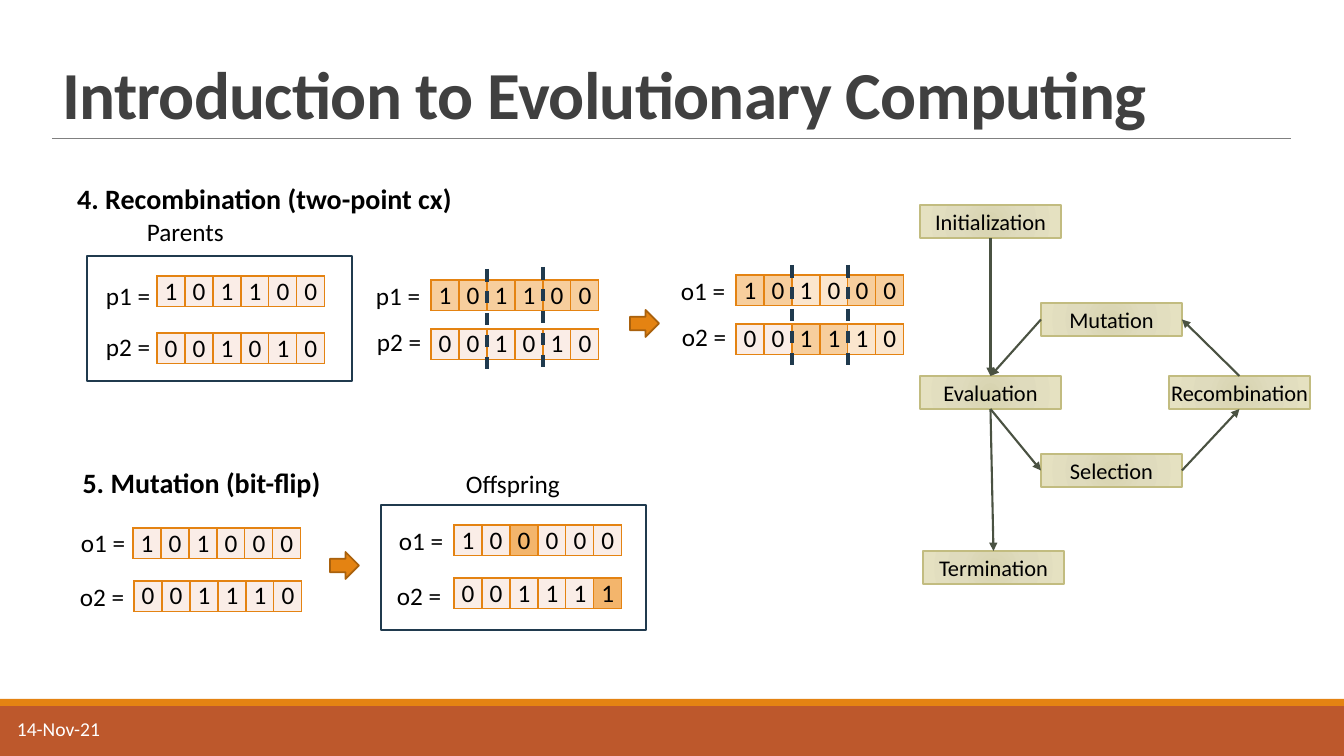
import pptx
import pptx.util
import pptx.dml.color
import pptx.enum.dml
import pptx.enum.shapes
import pptx.enum.text
import pptx.oxml
import pptx.oxml.ns

EMU_PER_PX = 914400 / 100.8
CELL_WIDTH, CELL_HEIGHT = 28, 30
FLOW_WIDTH, FLOW_HEIGHT = 141, 33
BIT_FILLS = {"p": "FAEDE7", "l": "FBE6CE", "m": "F7CE9D", "h": "F3B56C"}
SHAPES = pptx.enum.shapes.MSO_SHAPE
ALIGN = pptx.enum.text.PP_ALIGN
NAMESPACE = pptx.oxml.ns.nsdecls("a")


def px(*lengths):
    return [pptx.util.Emu(round(length * EMU_PER_PX)) for length in lengths]


def color(value):
    return pptx.dml.color.RGBColor.from_string(value)


def format_text(text_frame, size, value="000000", bold=False, align=ALIGN.LEFT):
    for paragraph in text_frame.paragraphs:
        paragraph.alignment = align
        for run in paragraph.runs:
            run.font.name = "Calibri"
            run.font.size = pptx.util.Pt(size)
            run.font.bold = bold
            run.font.color.rgb = color(value)


def add_text(slide, box, text, size, wrap=False, **style):
    shape = slide.shapes.add_textbox(*px(*box))
    shape.text_frame.text = text
    shape.text_frame.word_wrap = wrap
    format_text(shape.text_frame, size, **style)


def add_block(slide, kind, box, fill=None, line=None, width=1.25):
    shape = slide.shapes.add_shape(kind, *px(*box))
    shape.shadow.inherit = False
    if fill:
        shape.fill.solid()
        shape.fill.fore_color.rgb = color(fill)
    else:
        shape.fill.background()
    if line:
        shape.line.color.rgb = color(line)
        shape.line.width = pptx.util.Pt(width)
    else:
        shape.line.fill.background()
    return shape


def add_line(slide, ends, value, width):
    connector = slide.shapes.add_connector(
        pptx.enum.shapes.MSO_CONNECTOR.STRAIGHT, *px(*ends))
    connector.line.color.rgb = color(value)
    connector.line.width = pptx.util.Pt(width)
    connector._element.spPr.append(
        pptx.oxml.parse_xml(f"<a:effectLst {NAMESPACE}/>"))
    return connector


def add_title(slide, box):
    title = slide.shapes.title
    title.left, title.top, title.width, title.height = px(*box)
    frame = title.text_frame
    frame.text = "Introduction to Evolutionary Computing"
    frame.auto_size = pptx.enum.text.MSO_AUTO_SIZE.NONE
    frame.vertical_anchor = pptx.enum.text.MSO_ANCHOR.BOTTOM
    frame.paragraphs[0].line_spacing = 0.85
    format_text(frame, 48, "404040", bold=True)
    frame.paragraphs[0].runs[0].font._element.set("spc", "-50")
    left, top, width, height = box
    bottom = top + height
    add_line(slide, (left, bottom, left + width, bottom), "808080", 0.5)


def add_footer(slide, box):
    left, top, width, height = box
    add_block(slide, SHAPES.RECTANGLE, (left, top + 7, width, height - 7), "BD582C")
    add_block(slide, SHAPES.RECTANGLE, (left, top, width, 7), "E48312")
    add_text(slide, (left + 7, top + 13, 272, 40), "14-Nov-21", 14,
             wrap=True, value="FFFFFF")


def add_chromosome(slide, left, top, bits, fills):
    box = px(left, top, CELL_WIDTH * len(bits), CELL_HEIGHT)
    table = slide.shapes.add_table(1, len(bits), *box).table
    table.first_row = table.horz_banding = False
    for column, (bit, fill) in enumerate(zip(bits, fills)):
        table.columns[column].width = px(CELL_WIDTH)[0]
        cell = table.cell(0, column)
        cell.text = bit
        cell.margin_left = cell.margin_right = cell.margin_top = cell.margin_bottom = 0
        format_text(cell.text_frame, 18, align=ALIGN.CENTER)
        properties = cell._tc.get_or_add_tcPr()
        for side in ("lnL", "lnR", "lnT", "lnB"):
            properties.append(pptx.oxml.parse_xml(
                f'<a:{side} {NAMESPACE} w="12700"><a:solidFill>'
                f'<a:srgbClr val="E48312"/></a:solidFill></a:{side}>'))
        cell.fill.solid()
        cell.fill.fore_color.rgb = color(BIT_FILLS[fill])


def add_pair(slide, box, rows, framed=False, cuts=()):
    left, top, width, height = box
    for label, label_x, label_y, bits_x, bits_y, bits, fills in rows:
        add_text(slide, (left + label_x, top + label_y, 66, 40), label, 18)
        add_chromosome(slide, left + bits_x, top + bits_y, bits, fills)
    if framed:
        add_block(slide, SHAPES.RECTANGLE, box, line="203A4E")
    for x, y in cuts:
        line = add_line(slide, (left + x, top + y, left + x, top + y + 102), "203A4E", 2.25)
        line.line.dash_style = pptx.enum.dml.MSO_LINE.DASH


def add_arrow(slide, left, top):
    add_block(slide, SHAPES.RIGHT_ARROW, (left, top, 29, 27), "E48312", "A9610D")


def add_recombination(slide, left, top):
    add_text(slide, (left, top, 401, 44), "4. Recombination (two-point cx)", 20,
             bold=True, align=ALIGN.CENTER)
    add_text(slide, (left + 73, top + 34, 100, 40), "Parents", 18)
    add_pair(slide, (left + 23, top + 79, 265, 125), [
        ("p1 =", 9, 19, 70, 20, "101100", "pppppp"),
        ("p2 =", 9, 70, 70, 77, "001010", "pppppp")], framed=True)
    add_pair(slide, (left + 302, top + 90, 233, 102), [
        ("p1 =", 0, 8, 65, 13, "101100", "mmmmmm"),
        ("p2 =", 1, 54, 65, 62, "001010", "pppppp")], cuts=[(121, 2), (177, 0)])
    add_arrow(slide, left + 566, top + 133)
    add_pair(slide, (left + 607, top + 88, 233, 102), [
        ("o1 =", 0, 5, 65, 10, "101000", "mmllmm"),
        ("o2 =", 1, 51, 65, 59, "001110", "ppmmll")], cuts=[(121, 0), (177, 0)])


def add_mutation(slide, left, top):
    add_text(slide, (left, top, 261, 44), "5. Mutation (bit-flip)", 20,
             bold=True, align=ALIGN.CENTER)
    add_pair(slide, (left, top + 61, 232, 90), [
        ("o1 =", 0, 0, 62, 6, "101000", "pppppp"),
        ("o2 =", -1, 54, 63, 59, "001110", "pppppp")])
    add_arrow(slide, left + 259, top + 91)
    add_text(slide, (left + 385, top + 2, 116, 40), "Offspring", 18)
    add_pair(slide, (left + 310, top + 44, 265, 125), [
        ("o1 =", 8, 15, 73, 20, "100000", "pphppp"),
        ("o2 =", 6, 70, 73, 73, "001111", "ppppph")], framed=True)


def add_flow_box(slide, left, top, text):
    shape = add_block(slide, SHAPES.RECTANGLE, (left, top, FLOW_WIDTH, FLOW_HEIGHT),
                      line="C2BC80", width=1)
    properties = shape._element.spPr
    stops = "".join(f'<a:gs pos="{position}"><a:srgbClr val="{value}"/></a:gs>'
                    for position, value in
                    [(0, "D7D3AF"), (45000, "DFDBBD"), (100000, "E5E1C1")])
    gradient = pptx.oxml.parse_xml(
        f'<a:gradFill {NAMESPACE}><a:gsLst>{stops}</a:gsLst><a:path path="circle">'
        '<a:fillToRect l="100000" t="100000" r="100000" b="100000"/>'
        '</a:path></a:gradFill>')
    properties.replace(properties.find(pptx.oxml.ns.qn("a:noFill")), gradient)
    frame = shape.text_frame
    frame.text = text
    frame.margin_left = frame.margin_right = frame.margin_top = frame.margin_bottom = 0
    frame.vertical_anchor = pptx.enum.text.MSO_ANCHOR.MIDDLE
    format_text(frame, 16, align=ALIGN.CENTER)
    return shape


def add_cycle(slide, left, top):
    places = {"Initialization": (0, 0), "Mutation": (121, 98), "Evaluation": (0, 171),
              "Recombination": (249, 171), "Selection": (121, 249),
              "Termination": (3, 346)}
    steps = {name: add_flow_box(slide, left + x, top + y, name)
             for name, (x, y) in places.items()}
    for start, start_side, end, end_side in [
            ("Initialization", 2, "Evaluation", 0),
            ("Evaluation", 2, "Termination", 0),
            ("Mutation", 1, "Evaluation", 0),
            ("Recombination", 0, "Mutation", 3),
            ("Evaluation", 2, "Selection", 1),
            ("Selection", 3, "Recombination", 2)]:
        connector = add_line(slide, (0, 0, 0, 0), "4A5242", 1.5)
        connector.begin_connect(steps[start], start_side)
        connector.end_connect(steps[end], end_side)
        connector.line._get_or_add_ln().append(
            pptx.oxml.parse_xml(f'<a:tailEnd {NAMESPACE} type="triangle"/>'))


def main():
    presentation = pptx.Presentation()
    presentation.slide_width, presentation.slide_height = px(1344, 756)
    slide = presentation.slides.add_slide(presentation.slide_layouts[5])
    add_footer(slide, (0, 699, 1344, 57))
    add_title(slide, (52, 31, 1239, 107))
    add_recombination(slide, 64, 177)
    add_mutation(slide, 71, 461)
    add_cycle(slide, 920, 205)
    presentation.save("out.pptx")


if __name__ == "__main__":
    main()
